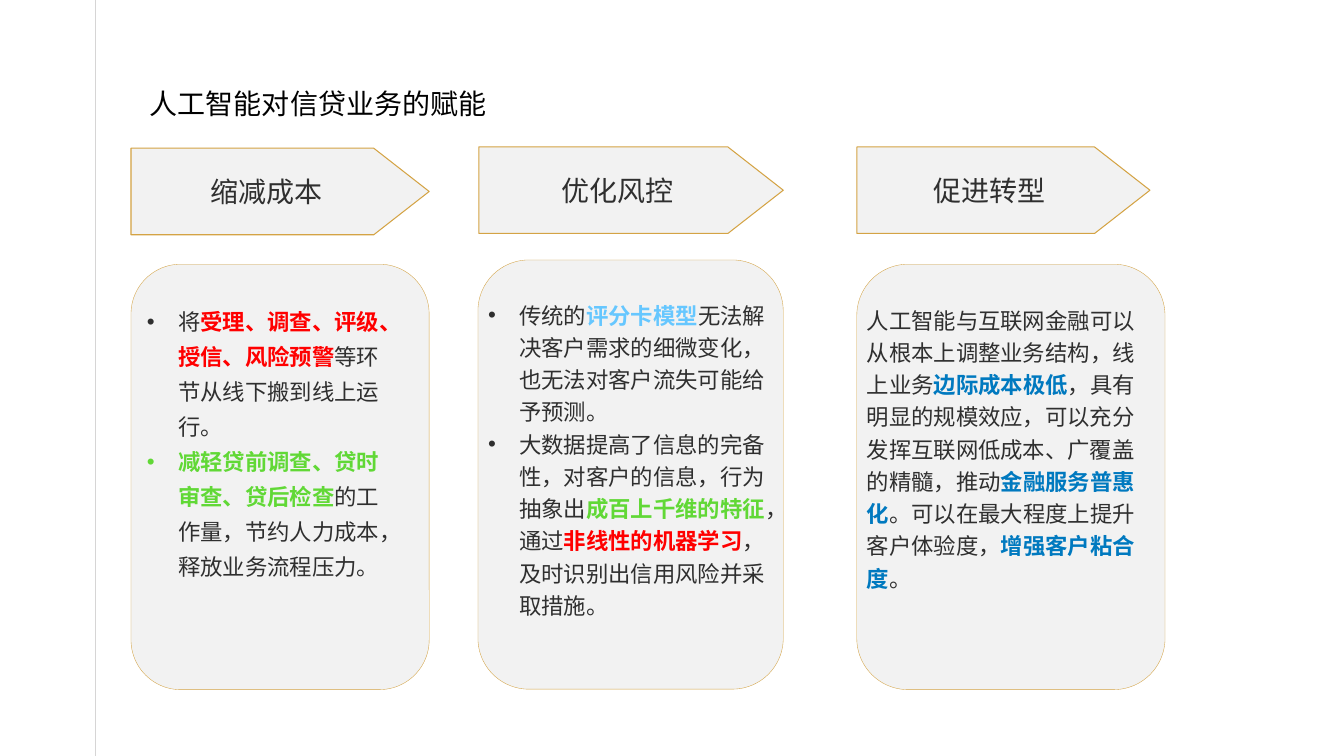
from lxml import etree
from pptx import Presentation
from pptx.dml.color import RGBColor
from pptx.enum.shapes import MSO_CONNECTOR, MSO_SHAPE
from pptx.enum.text import MSO_ANCHOR, MSO_AUTO_SIZE, PP_ALIGN
from pptx.oxml.ns import qn
from pptx.util import Inches, Pt

LINE = MSO_CONNECTOR.STRAIGHT
ARROW, CARD = MSO_SHAPE.PENTAGON, MSO_SHAPE.ROUNDED_RECTANGLE
MIDDLE, TOP = MSO_ANCHOR.MIDDLE, MSO_ANCHOR.TOP
CENTER, LEFT = PP_ALIGN.CENTER, PP_ALIGN.LEFT
FIXED = MSO_AUTO_SIZE.NONE
COLS, ROWS = 32, 18
INK, FILL, GOLD, RULE = "2F2F2F", "F2F2F2", "D4A344", "D6D5D5"
RED, GREEN, SKY, BLUE = "FF0000", "61D836", "66C7FF", "0079BF"
HAN, SANS, GEO = "Noto Sans CJK SC", "Arial", "Montserrat"


def color(code):
    return RGBColor.from_string(code)


class Deck:
    """Draws styled elements on a slide, placed by grid columns and rows."""

    def __init__(self, show, slide):
        self.slide = slide
        self.col = show.slide_width / COLS
        self.row = show.slide_height / ROWS

    def grid(self, box):
        x, y, w, h = box
        return [int(n) for n in (x * self.col, y * self.row, w * self.col, h * self.row)]

    def style(self, run, size, code=INK, font=SANS, bold=False):
        run.font.size, run.font.bold, run.font.name = Pt(size), bold, font
        run.font.color.rgb = color(code)
        east = etree.SubElement(run.font._element, qn("a:ea"))
        east.set("typeface", HAN)

    def place(self, holder, box):
        holder.left, holder.top, holder.width, holder.height = self.grid(box)
        holder.element.getparent().append(holder.element)
        return holder

    def label(self, frame, text, code):
        frame.text = text
        frame.word_wrap, frame.auto_size = False, FIXED
        frame.vertical_anchor = MIDDLE
        frame.paragraphs[0].alignment = CENTER
        self.style(frame.paragraphs[0].runs[0], 20, code, HAN)

    def title(self, text, box):
        frame = self.place(self.slide.shapes.title, box).text_frame
        self.label(frame, text, "000000")
        frame.margin_left = frame.margin_right = Inches(0.03)
        frame.margin_top = frame.margin_bottom = Inches(0.03)

    def rule(self, col):
        x, y, w, h = self.grid((col, 0, 0, ROWS))
        line = self.slide.shapes.add_connector(LINE, x, y + h, x, y)
        line.line.color.rgb, line.line.width = color(RULE), Pt(0.75)
        etree.SubElement(line.element.spPr, qn("a:effectLst"))

    def shape(self, kind, box, width):
        shape = self.slide.shapes.add_shape(kind, *self.grid(box))
        shape.shadow.inherit = False
        shape.fill.solid()
        shape.fill.fore_color.rgb = color(FILL)
        shape.line.color.rgb, shape.line.width = color(GOLD), Pt(width)
        return shape

    def arrow(self, text, box):
        shape = self.shape(ARROW, box, 0.75)
        shape.adjustments[0] = 0.64
        self.label(shape.text_frame, text, INK)

    def bullet(self, para):
        props = para._p.get_or_add_pPr()
        props.set("marL", str(Inches(0.31)))
        props.set("indent", str(-Inches(0.31)))
        etree.SubElement(props, qn("a:buFont")).set("typeface", SANS)
        etree.SubElement(props, qn("a:buChar")).set("char", "•")

    def flow(self, frame, paras, space, listed):
        frame.word_wrap, frame.auto_size = True, FIXED
        frame.vertical_anchor = TOP
        for i, parts in enumerate(paras):
            para = frame.add_paragraph() if i else frame.paragraphs[0]
            if listed:
                self.bullet(para)
            para.alignment, para.line_spacing = LEFT, space
            para.space_before = Pt(0)
            for text, *look in parts:
                run = para.add_run()
                run.text = text
                self.style(run, 16, *look)

    def items(self, mark, box, paras, space):
        holder = self.place(self.slide.placeholders[mark], box)
        self.flow(holder.text_frame, paras, space, True)

    def prose(self, box, parts, space):
        shape = self.slide.shapes.add_textbox(*self.grid(box))
        self.flow(shape.text_frame, [parts], space, False)


def strong(text, code, font=SANS):
    return text, code, font, True


COST = [
    [("将",), strong("受理、调查、评级、授信、风险预警", RED), ("等环节从线下搬到线上运行。",)],
    [strong("减轻贷前调查、贷时审查、贷后检查", GREEN),
     ("的工作量，节约人力成本，释放业务流程压力。",)],
]
RISK = [
    [("传统的",), strong("评分卡模型", SKY),
     ("无法解决客户需求的细微变化，也无法对客户流失可能给予预测。",)],
    [("大数据提高了信息的完备性，对客户的信息，行为抽象出",),
     strong("成百上千维的特征", GREEN), ("，通过",),
     strong("非线性的机器学习", RED), ("，及时识别出信用风险并采取措施。",)],
]
SHIFT = [
    ("人工智能与互联网金融",), ("可以从根本上调整业务结构", INK, GEO), ("，",),
    ("线上业务", INK, GEO), strong("边际成本极低", BLUE, GEO),
    ("，具有明显的规模效应，可以充分发挥互联网低成本、广覆盖的精髓，推动", INK, GEO),
    strong("金融服务普惠化", BLUE, GEO), ("。", INK, GEO),
    ("可以在最大程度上提升客户体验度，",), strong("增强客户粘合度", BLUE), ("。",),
]
HEADS = [
    ("缩减成本", (3.12, 3.53, 7.1, 2.06)),
    ("优化风控", (11.4, 3.5, 7.25, 2.06)),
    ("促进转型", (20.4, 3.5, 6.98, 2.06)),
]
CARDS = [
    (3.12, 6.29, 7.1, 10.13),
    (11.38, 6.19, 7.27, 10.22),
    (20.4, 6.29, 7.34, 10.13),
]


def main():
    show = Presentation()
    show.slide_width, show.slide_height = Inches(13.33), Inches(7.5)
    deck = Deck(show, show.slides.add_slide(show.slide_layouts[3]))
    deck.rule(2.28)
    deck.title("人工智能对信贷业务的赋能", (3.46, 1.99, 8.23, 0.96))
    for box in CARDS:
        deck.shape(CARD, box, 0.25)
    for text, box in HEADS:
        deck.arrow(text, box)
    deck.items(1, (3.26, 7.03, 6.41, 7.8), COST, 1.3)
    deck.items(2, (11.38, 6.94, 7.27, 7.99), RISK, 1.2)
    deck.prose((20.4, 7.06, 6.98, 7.22), SHIFT, 1.2)
    show.save("out.pptx")


if __name__ == "__main__":
    main()
